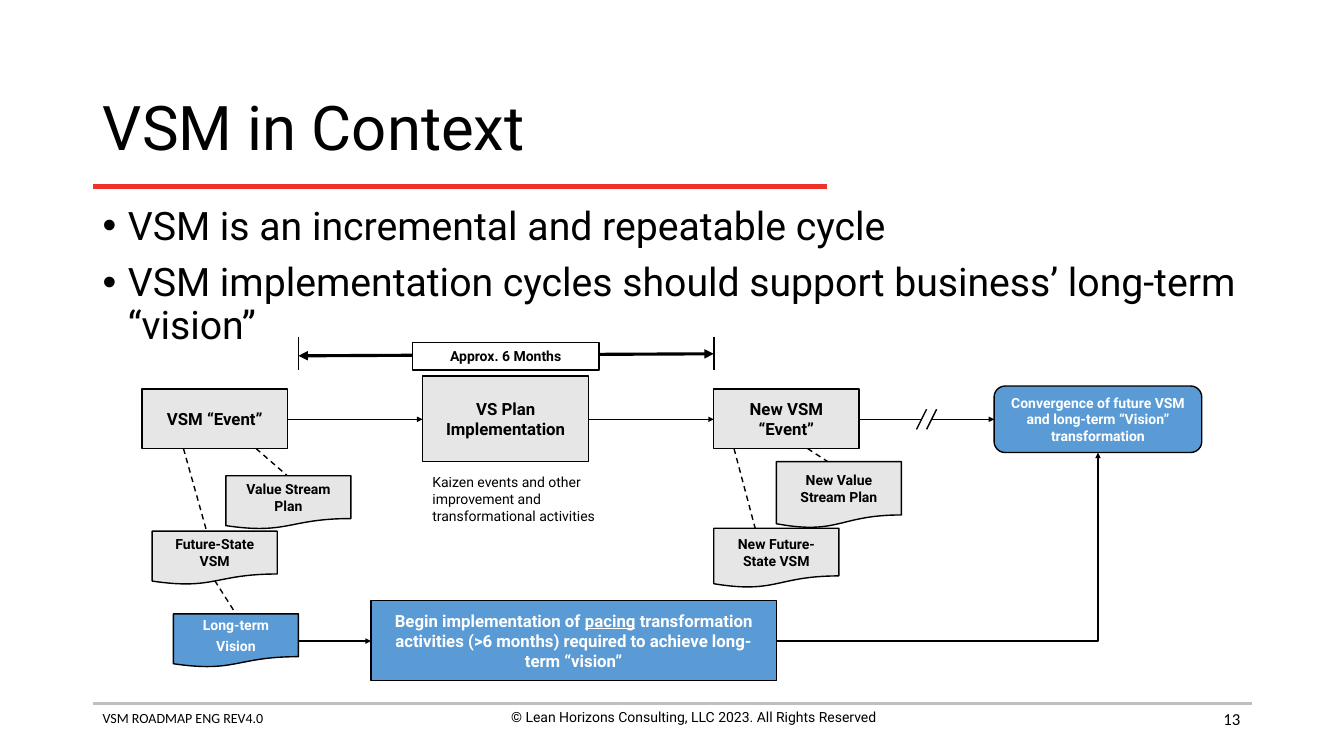
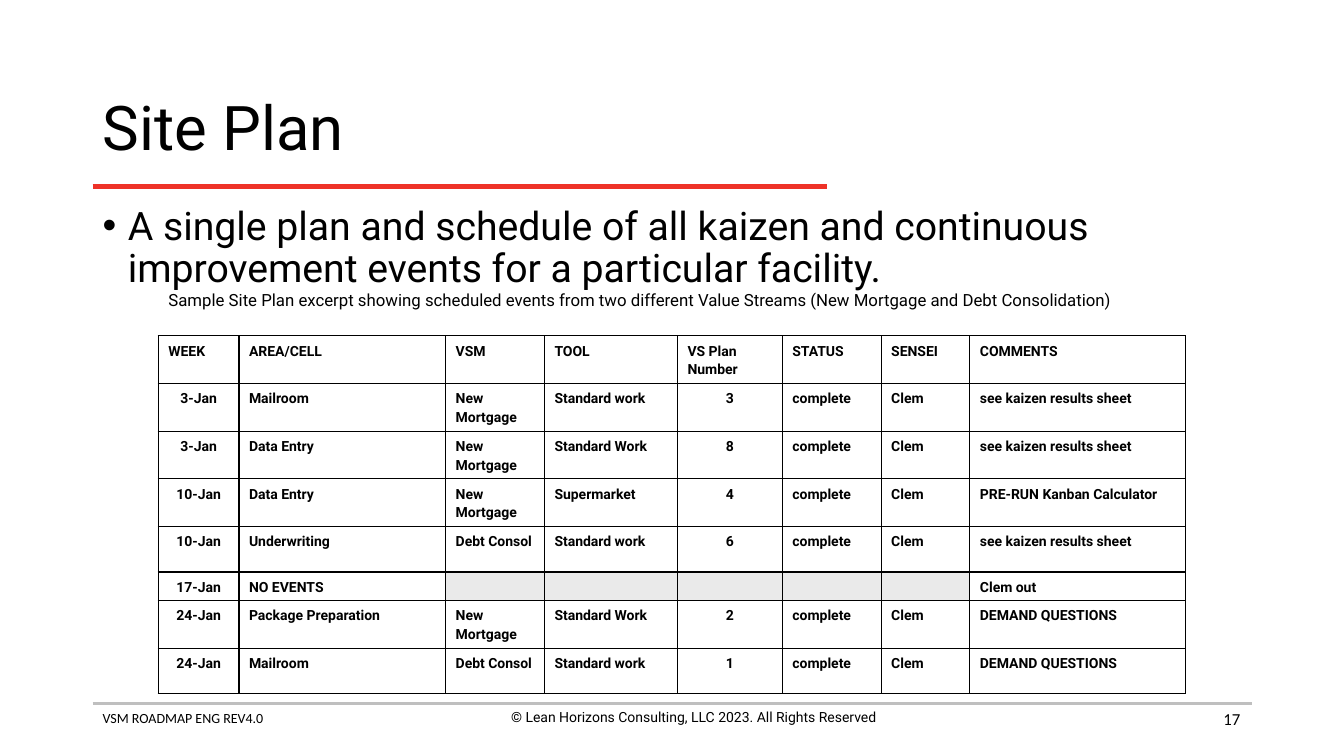
"""Builds two value stream mapping slides: a roadmap diagram and a site plan table."""
from lxml import etree
from pptx import Presentation, util as u
from pptx.dml.color import RGBColor
from pptx.enum import dml, shapes, text
from pptx.oxml.ns import qn

BLACK, WHITE, GREY, BLUE = "000000", "FFFFFF", "E7E6E6", "5B9BD5"
RED, RULE_GREY, EMPTY_GREY = "EE3228", "BFBFBF", "EAEAEA"
ROBOTO, CALIBRI = "Roboto", "Calibri"
LEFT, WIDTH = 0.92, 11.5
PP, SHAPE = text.PP_ALIGN, shapes.MSO_SHAPE
RECT, DOC, ROUNDED = SHAPE.RECTANGLE, SHAPE.FLOWCHART_DOCUMENT, SHAPE.FLOWCHART_ALTERNATE_PROCESS

RULES = [((LEFT, 6.98, LEFT + WIDTH, 6.98), RULE_GREY, 2), ((LEFT, 1.85, 8.2, 1.85), RED, 3)]
FOOTER = "VSM ROADMAP ENG REV4.0"
COPYRIGHT = "© Lean Horizons Consulting, LLC 2023. All Rights Reserved"

CONTEXT = {
    "title": "VSM in Context",
    "number": "13",
    "bullets": ["VSM is an incremental and repeatable cycle",
                "VSM implementation cycles should support business’ long-term “vision”"],
}
SITE_PLAN = {
    "title": "Site Plan",
    "number": "17",
    "bullets": ["A single plan and schedule of all kaizen and continuous improvement events "
                "for a particular facility."],
}

FLOW_Y, VISION_Y = 4.16, 6.36
PERIOD_START, PERIOD_END = 2.96, 7.08
ARROWS = [(2.85, FLOW_Y, 4.19, FLOW_Y), (5.84, FLOW_Y, 7.08, FLOW_Y),
          (8.52, FLOW_Y, 9.86, FLOW_Y), (2.96, VISION_Y, 3.68, VISION_Y)]
DASHED_LINKS = [(2.54, 4.45, 2.85, 4.72), (1.82, 4.45, 2.05, 5.27), (8.01, 4.45, 8.21, 4.58),
                (7.28, 4.45, 7.49, 5.24), (2.13, 5.76, 2.34, 6.09)]
PERIOD_ENDS = [(x, 3.34, x, 3.67) for x in (PERIOD_START, PERIOD_END)]
BREAK_STROKES = [(x, 4.06, x - 0.1, 4.26) for x in (9.19, 9.29)]
STEPS = [
    (RECT, (1.41, 3.86, 1.44, 0.59), GREY, 12, "VSM “Event”"),
    (RECT, (4.19, 3.73, 1.65, 0.85), GREY, 12, "VS Plan Implementation"),
    (RECT, (7.08, 3.86, 1.44, 0.59), GREY, 12, "New VSM “Event”"),
    (DOC, (1.51, 5.27, 1.24, 0.53), GREY, 10, "Future-State VSM"),
    (DOC, (2.24, 4.72, 1.24, 0.53), GREY, 10, "Value Stream Plan"),
    (DOC, (7.08, 5.24, 1.24, 0.59), GREY, 10, "New Future-State VSM"),
    (DOC, (7.7, 4.58, 1.24, 0.66), GREY, 10, "New Value Stream Plan"),
    (DOC, (1.72, 6.09, 1.24, 0.53), BLUE, 10, "Long-term\nVision"),
    (RECT, (4.09, 3.4, 1.85, 0.27), WHITE, 10, "Approx. 6 Months"),
    (RECT, (3.68, 5.96, 4.02, 0.79), BLUE, 12,
     "Begin implementation of _pacing_ transformation activities (>6 months) "
     "required to achieve long-term “vision”"),
    (ROUNDED, (9.86, 3.83, 2.06, 0.66), BLUE, 10,
     "Convergence of future VSM and long-term “Vision” transformation"),
]
KAIZEN_NOTE = "Kaizen events and other improvement and transformational activities"

PLAN_CAPTION = ("Sample Site Plan excerpt showing scheduled events from two different Value Streams "
                "(New Mortgage and Debt Consolidation)")
PLAN_COLUMNS = [0.8, 2.05, 0.98, 1.32, 1.04, 0.98, 0.88, 2.14]
PLAN_HEADER = ["WEEK", "AREA/CELL", "VSM", "TOOL", "VS Plan Number", "STATUS", "SENSEI", "COMMENTS"]
CENTRED_COLUMNS = (0, 4)
PLAN_EVENTS = [
    ["3-Jan", "Mailroom", "New Mortgage", "Standard work", "3", "complete", "Clem", "see kaizen results sheet"],
    ["3-Jan", "Data Entry", "New Mortgage", "Standard Work", "8", "complete", "Clem", "see kaizen results sheet"],
    ["10-Jan", "Data Entry", "New Mortgage", "Supermarket", "4", "complete", "Clem", "PRE-RUN Kanban Calculator"],
    ["10-Jan", "Underwriting", "Debt Consol", "Standard work", "6", "complete", "Clem", "see kaizen results sheet"],
    ["17-Jan", "NO EVENTS", "", "", "", "", "", "Clem out"],
    ["24-Jan", "Package Preparation", "New Mortgage", "Standard Work", "2", "complete", "Clem", "DEMAND QUESTIONS"],
    ["24-Jan", "Mailroom", "Debt Consol", "Standard work", "1", "complete", "Clem", "DEMAND QUESTIONS"],
]


def rgb(colour):
    return RGBColor.from_string(colour)


def inches(values):
    return [u.Inches(value) for value in values]


def style(paragraph, size, colour=BLACK, font=ROBOTO, bold=False, align=PP.LEFT, spacing=None):
    paragraph.alignment = align
    paragraph.line_spacing = spacing
    paragraph.font.name, paragraph.font.size, paragraph.font.bold = font, u.Pt(size), bold
    paragraph.font.color.rgb = rgb(colour)


def add_label(slide, place, wording, size, anchor=text.MSO_ANCHOR.TOP, **look):
    frame = slide.shapes.add_textbox(*inches(place)).text_frame
    frame.word_wrap = True
    frame.vertical_anchor = anchor
    frame.text = wording
    style(frame.paragraphs[0], size, **look)


def add_line(slide, ends, colour=BLACK, width=1, dashed=False, arrows=(), head="sm", bent=False):
    kind = shapes.MSO_CONNECTOR.ELBOW if bent else shapes.MSO_CONNECTOR.STRAIGHT
    connector = slide.shapes.add_connector(kind, *inches(ends))
    connector.line.color.rgb = rgb(colour)
    connector.line.width = u.Pt(width)
    if dashed:
        connector.line.dash_style = dml.MSO_LINE.DASH
    properties = connector._element.spPr
    if bent:
        properties.find(qn("a:prstGeom")).set("prst", "bentConnector2")
    for end in arrows:
        etree.SubElement(properties.find(qn("a:ln")), qn(f"a:{end}"), type="triangle", w=head, len=head)
    etree.SubElement(properties, qn("a:effectLst"))


def add_block(slide, kind, place, fill, outlined=True):
    block = slide.shapes.add_shape(kind, *inches(place))
    block.shadow.inherit = False
    block.fill.solid()
    block.fill.fore_color.rgb = rgb(fill)
    if outlined:
        block.line.color.rgb = rgb(BLACK)
        block.line.width = u.Pt(1)
    else:
        block.line.fill.background()
    return block


def add_step(slide, kind, place, fill, size, wording):
    frame = add_block(slide, kind, place, fill).text_frame
    frame.word_wrap = True
    frame.vertical_anchor = text.MSO_ANCHOR.MIDDLE
    for index, line in enumerate(wording.split("\n")):
        paragraph = frame.add_paragraph() if index else frame.paragraphs[0]
        if index:
            paragraph.space_before = u.Pt(3.5)
        for part, words in enumerate(line.split("_")):
            run = paragraph.add_run()
            run.text = words
            if part % 2:
                run.font.underline = True
        style(paragraph, size, WHITE if fill == BLUE else BLACK, bold=True, align=PP.CENTER)


def add_bullets(slide, bullets):
    frame = slide.shapes.add_textbox(*inches((LEFT, 2, WIDTH, 4.76))).text_frame
    frame.word_wrap = True
    for index, bullet in enumerate(bullets):
        paragraph = frame.add_paragraph() if index else frame.paragraphs[0]
        paragraph.text = bullet
        properties = paragraph._p.get_or_add_pPr()
        properties.set("marL", str(u.Inches(0.25)))
        properties.set("indent", str(u.Inches(-0.25)))
        etree.SubElement(properties, qn("a:buFont"), typeface="Arial")
        etree.SubElement(properties, qn("a:buChar"), char="•")
        if index:
            paragraph.space_before = u.Pt(10)
        style(paragraph, 28, spacing=0.9)


def add_slide(deck, content):
    slide = deck.slides.add_slide(deck.slide_layouts[5])
    title = slide.shapes.title
    title.left, title.top, title.width, title.height = inches((LEFT, 0.74, WIDTH, 1.1))
    frame = title.text_frame
    frame.text = content["title"]
    frame.auto_size = text.MSO_AUTO_SIZE.NONE
    frame.vertical_anchor = text.MSO_ANCHOR.MIDDLE
    style(frame.paragraphs[0], 44, spacing=0.9)
    for ends, colour, width in RULES:
        add_line(slide, ends, colour, width)
    add_label(slide, (LEFT, 6.99, 4.56, 0.27), FOOTER, 10, font=CALIBRI)
    add_label(slide, (4.6, 6.98, 4.56, 0.44), COPYRIGHT, 10, align=PP.CENTER)
    add_label(slide, (9.4, 6.93, 3, 0.4), content["number"], 12, text.MSO_ANCHOR.MIDDLE,
              font=CALIBRI, align=PP.RIGHT)
    add_bullets(slide, content["bullets"])
    return slide


def draw_roadmap(slide):
    for ends in ARROWS:
        add_line(slide, ends, arrows=("tailEnd",))
    for ends in DASHED_LINKS:
        add_line(slide, ends, dashed=True)
    add_line(slide, (7.7, VISION_Y, 10.89, 4.49), arrows=("tailEnd",), bent=True)
    add_line(slide, (PERIOD_START, 3.53, PERIOD_END, 3.51), width=2.25,
             arrows=("headEnd", "tailEnd"), head="med")
    for step in STEPS:
        add_step(slide, *step)
    add_label(slide, (4.19, 4.65, 1.85, 0.6), KAIZEN_NOTE, 10)
    add_block(slide, RECT, (9.14, 4.06, 0.1, 0.2), WHITE, outlined=False)
    for ends in BREAK_STROKES + PERIOD_ENDS:
        add_line(slide, ends)


def format_cell(cell, wording, size, fill=None, bold=False, align=PP.LEFT, sides="LRTB"):
    paragraph = cell.text_frame.paragraphs[0]
    paragraph.text = wording
    style(paragraph, size, bold=bold, align=align, spacing=1.15)
    cell.margin_bottom = u.Inches(0.04)
    if not wording:
        etree.SubElement(paragraph._p, qn("a:endParaRPr"), sz=str(size * 100))
    properties = cell._tc.get_or_add_tcPr()
    for side in "LRTB":
        border = etree.SubElement(properties, qn(f"a:ln{side}"), w=str(u.Pt(1)))
        if side in sides:
            paint = etree.SubElement(border, qn("a:solidFill"))
            etree.SubElement(paint, qn("a:srgbClr"), val=BLACK)
        else:
            etree.SubElement(border, qn("a:noFill"))
    if fill:
        cell.fill.solid()
        cell.fill.fore_color.rgb = rgb(fill)
    else:
        cell.fill.background()


def draw_plan(slide):
    rows = [PLAN_HEADER] + PLAN_EVENTS
    heights = [0.52] + [0.45 if row[2] else 0.27 for row in rows]
    place = (1.57, 2.81, sum(PLAN_COLUMNS), sum(heights))
    table = slide.shapes.add_table(len(heights), len(PLAN_COLUMNS), *inches(place)).table
    table.first_row = table.horz_banding = False
    for column, width in zip(table.columns, PLAN_COLUMNS):
        column.width = u.Inches(width)
    for row, height in zip(table.rows, heights):
        row.height = u.Inches(height)
    for column in range(len(PLAN_COLUMNS)):
        format_cell(table.cell(0, column), "" if column else PLAN_CAPTION, 12, sides="B")
    table.cell(0, 0).merge(table.cell(0, len(PLAN_COLUMNS) - 1))
    for r, row in enumerate(rows, 1):
        for c, wording in enumerate(row):
            align = PP.CENTER if r > 1 and c in CENTRED_COLUMNS else PP.LEFT
            fill = WHITE if wording else EMPTY_GREY
            format_cell(table.cell(r, c), wording, 10, fill, True, align)


def main():
    deck = Presentation()
    deck.slide_width, deck.slide_height = inches((13.33, 7.5))
    draw_roadmap(add_slide(deck, CONTEXT))
    draw_plan(add_slide(deck, SITE_PLAN))
    deck.save("out.pptx")


if __name__ == "__main__":
    main()
